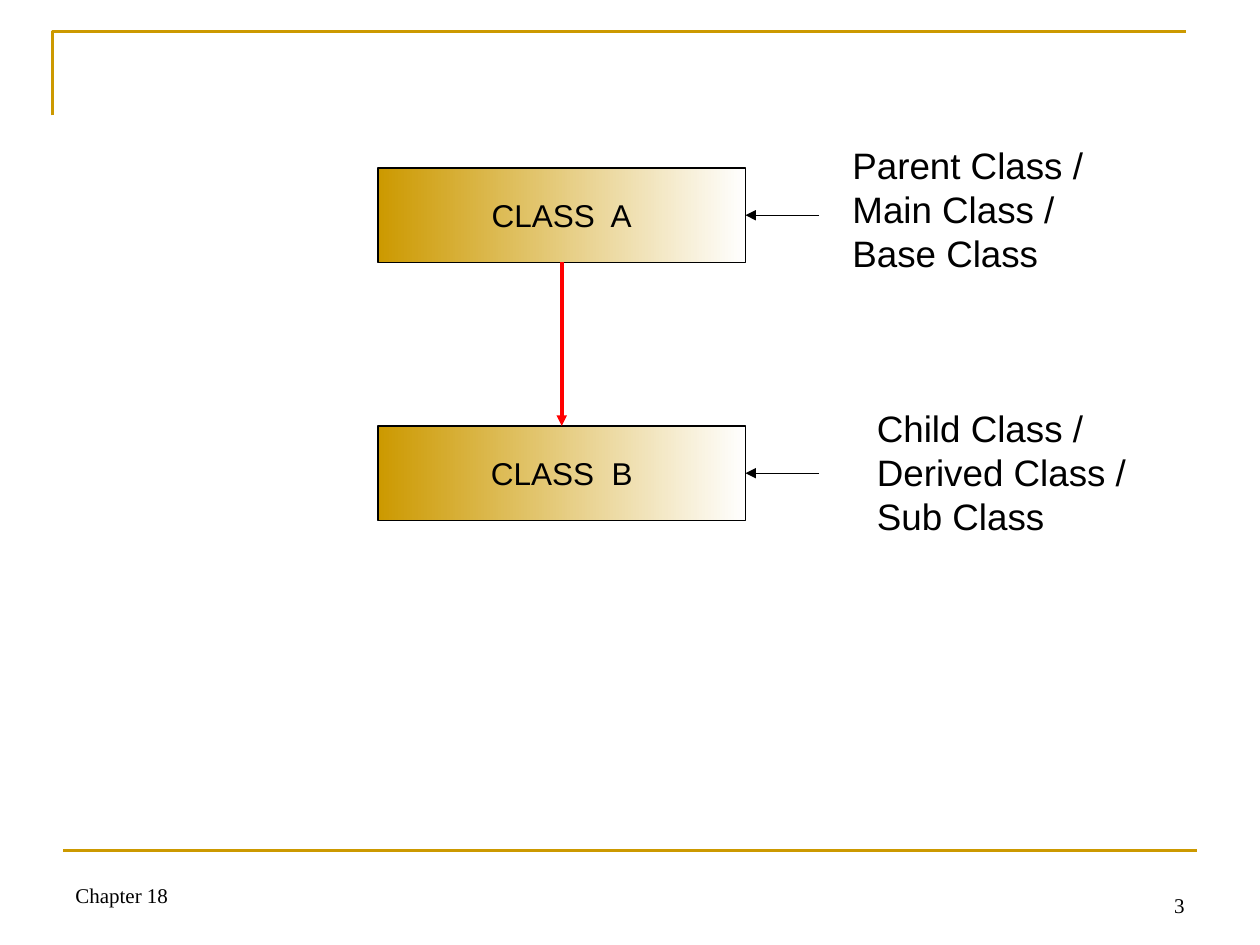
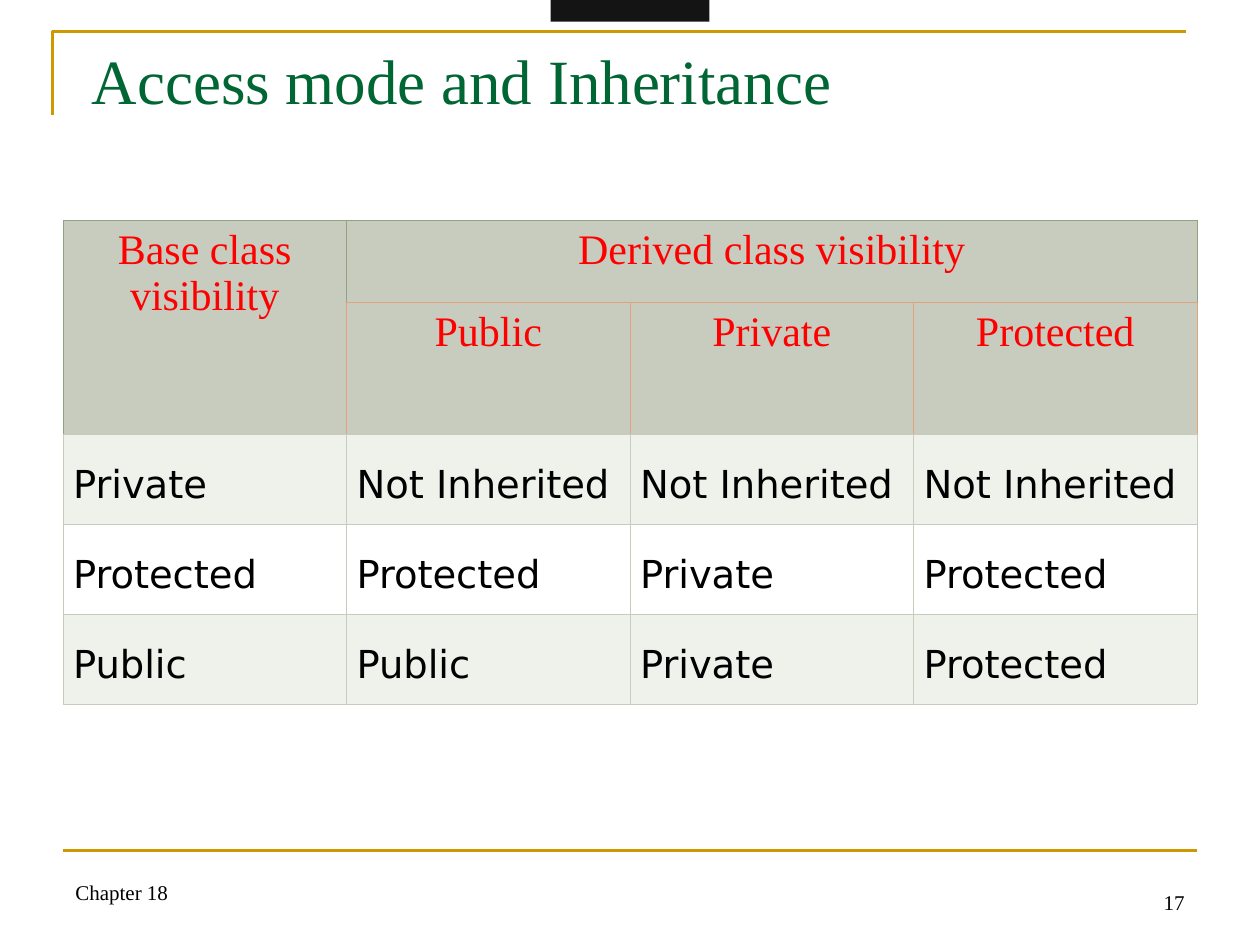
from pptx import Presentation
from pptx.dml.color import RGBColor
from pptx.enum.shapes import MSO_CONNECTOR, MSO_SHAPE
from pptx.enum.text import MSO_ANCHOR as Anchor, PP_ALIGN as Align
from pptx.oxml.ns import qn
from pptx.util import Pt
from lxml.etree import SubElement

PAGE_WIDTH, PAGE_HEIGHT = 720, 540
SERIF, SANS, TABLE_FONT = "Times New Roman", "Arial", "DejaVu Sans"
GOLD, GREEN, RED, BLACK, WHITE = "CC9900", "006633", "FF0000", "000000", "FFFFFF"
DARK_TAB = "141414"
HEADER_FILL, BAND_FILL = "C7CCBE", "EFF1EB"
EDGE_GREEN, EDGE_ORANGE, EDGE_GREY = "90A480", "E0A280", "C7CCBE"


def colour(hex_string):
    return RGBColor.from_string(hex_string)


# Shared drawing helpers

def write_text(frame, text, size=12, font=SERIF, color=BLACK, align=Align.LEFT,
               line_spacing=None):
    """Fill a text frame with one paragraph per line of text."""
    for index, line in enumerate(text.split("\n")):
        paragraph = frame.add_paragraph() if index else frame.paragraphs[0]
        paragraph.alignment = align
        if line_spacing:
            paragraph.line_spacing = line_spacing
        run = paragraph.add_run()
        run.text = line
        run.font.size = Pt(size)
        run.font.name = font
        run.font.color.rgb = colour(color)


def add_text(slide, text, left, top, width, height, anchor=Anchor.TOP,
             inset_top=3.6, **text_format):
    box = slide.shapes.add_textbox(Pt(left), Pt(top), Pt(width), Pt(height))
    frame = box.text_frame
    frame.word_wrap = True
    frame.vertical_anchor = anchor
    frame.margin_top = Pt(inset_top)
    write_text(frame, text, **text_format)


def add_rectangle(slide, left, top, width, height):
    shape = slide.shapes.add_shape(
        MSO_SHAPE.RECTANGLE, Pt(left), Pt(top), Pt(width), Pt(height))
    shape.shadow.inherit = False
    return shape


def add_line(slide, x1, y1, x2, y2, color, width, arrow=False):
    connector = slide.shapes.add_connector(
        MSO_CONNECTOR.STRAIGHT, Pt(x1), Pt(y1), Pt(x2), Pt(y2))
    connector.line.color.rgb = colour(color)
    connector.line.width = Pt(width)
    if arrow:
        SubElement(connector.line._get_or_add_ln(), qn("a:tailEnd"), type="triangle")
    SubElement(connector._element.spPr, qn("a:effectLst"))


# Frame, footer and title of every slide

def add_corner(slide, left, top, width, height):
    builder = slide.shapes.build_freeform(Pt(left), Pt(top + height))
    builder.add_line_segments(
        [(Pt(left), Pt(top)), (Pt(left + width), Pt(top))], close=False)
    corner = builder.convert_to_shape()
    corner.shadow.inherit = False
    corner.fill.background()
    corner.line.color.rgb = colour(GOLD)
    corner.line.width = Pt(1.5)


def add_footer(slide, left, top, width, number):
    height, number_width = 36, 168
    add_text(slide, "Chapter 18", left, top, 228, height, anchor=Anchor.BOTTOM)
    add_text(slide, str(number), left + width - number_width, top + 5.8,
             number_width, height, anchor=Anchor.BOTTOM, align=Align.RIGHT)


def new_slide(presentation, number, footer_top):
    slide = presentation.slides.add_slide(presentation.slide_layouts[6])
    add_corner(slide, 30, 18, 648, 48)
    add_line(slide, 36, 486, 684, 486, GOLD, 1.5)
    add_footer(slide, 36, footer_top, 648, number)
    return slide


def add_title(slide, text, left, top, width, height):
    add_text(slide, text, left, top, width, height, inset_top=8,
             size=36, color=GREEN)


# Inheritance diagram

def add_class_box(slide, name, left, top, width, height):
    shape = add_rectangle(slide, left, top, width, height)
    shape.fill.gradient()
    shape.fill.gradient_angle = 0
    for stop, position, color in zip(shape.fill.gradient_stops, (0, 1), (GOLD, WHITE)):
        stop.position = position
        stop.color.rgb = colour(color)
    shape.line.color.rgb = colour(BLACK)
    shape.line.width = Pt(0.75)
    frame = shape.text_frame
    frame.word_wrap = False
    frame.vertical_anchor = Anchor.MIDDLE
    write_text(frame, name, size=18, font=SANS, align=Align.CENTER)


def add_class_diagram(slide, left, top, width, height):
    box_width, box_height, arrow_length = 210, 54, 42
    note_width, note_height = 168, 83
    child_top = top + height - box_height
    box_right = left + box_width
    right = left + width
    classes = [
        ("CLASS  A", top, "Parent Class / Main Class /\nBase Class", right - 14, -18),
        ("CLASS  B", child_top, "Child Class / Derived Class /\nSub Class", right, -15.2),
    ]
    for name, box_top, note, note_right, note_offset in classes:
        add_class_box(slide, name, left, box_top, box_width, box_height)
        middle = box_top + box_height / 2
        add_line(slide, box_right + arrow_length, middle, box_right, middle,
                 BLACK, 0.75, arrow=True)
        add_text(slide, note, note_right - note_width, box_top + note_offset,
                 note_width, note_height, size=21, font=SANS)
    center = left + box_width / 2
    add_line(slide, center, top + box_height, center, child_top, RED, 2, arrow=True)


# Access mode table

def set_borders(cell, edges):
    """Draw the left, right, top and bottom edge in the given colours."""
    properties = cell._tc.get_or_add_tcPr()
    for index, (side, color) in enumerate(zip("LRTB", edges)):
        line = SubElement(properties, qn(f"a:ln{side}"), w=str(Pt(0.34)))
        fill = SubElement(line, qn("a:solidFill"))
        SubElement(fill, qn("a:srgbClr"), val=color)
        properties.insert(index, line)


def format_cell(cell, text, fill, edges, inset, **text_format):
    cell.fill.solid()
    cell.fill.fore_color.rgb = colour(fill)
    cell.margin_left = cell.margin_right = Pt(inset)
    set_borders(cell, edges)
    if text:
        write_text(cell.text_frame, text, **text_format)


def add_access_table(slide, left, top, width):
    header_rows = [
        ["Base class visibility", "Derived class visibility", "", ""],
        ["", "Public", "Private", "Protected"],
    ]
    body_rows = [
        ["Private", "Not Inherited", "Not Inherited", "Not Inherited"],
        ["Protected", "Protected", "Private", "Protected"],
        ["Public", "Public", "Private", "Protected"],
    ]
    row_heights = [46.8, 75.4] + [51.4] * len(body_rows)
    columns = len(header_rows[0])
    table = slide.shapes.add_table(
        len(row_heights), columns, Pt(left), Pt(top), Pt(width),
        Pt(sum(row_heights))).table
    table.first_row = table.horz_banding = False
    for column in table.columns:
        column.width = Pt(width / columns)
    for row, height in zip(table.rows, row_heights):
        row.height = Pt(height)
    table.cell(0, 0).merge(table.cell(1, 0))
    table.cell(0, 1).merge(table.cell(0, columns - 1))

    base_edges = [EDGE_GREEN, EDGE_ORANGE, EDGE_GREEN, EDGE_GREY]
    derived_edges = [EDGE_GREEN] * 3 + [EDGE_ORANGE]
    mode_edges = [EDGE_ORANGE] * 3 + [EDGE_GREY]
    for row, texts in enumerate(header_rows):
        for column, text in enumerate(texts):
            edges = (base_edges if column == 0
                     else derived_edges if row == 0 else mode_edges)
            format_cell(table.cell(row, column), text, HEADER_FILL, edges, 8.64,
                        size=24, color=RED, align=Align.CENTER)
    for row, texts in enumerate(body_rows):
        fill = WHITE if row % 2 else BAND_FILL
        for column, text in enumerate(texts):
            format_cell(table.cell(row + len(header_rows), column), text, fill,
                        [EDGE_GREY] * 4, 5.76, size=22, font=TABLE_FONT,
                        line_spacing=1.5)


def add_top_tab(slide, left, top, width, height):
    tab = add_rectangle(slide, left, top, width, height)
    tab.fill.solid()
    tab.fill.fore_color.rgb = colour(DARK_TAB)
    tab.line.fill.background()


# Slides

def build_diagram_slide(presentation):
    slide = new_slide(presentation, 3, 486)
    add_class_diagram(slide, 216, 96, 446, 201.4)


def build_table_slide(presentation):
    slide = new_slide(presentation, 17, 484.6)
    add_title(slide, "Access mode and Inheritance", 45.4, 16, 648, 44)
    add_top_tab(slide, 314.6, -13, 90.8, 25.4)
    add_access_table(slide, 36, 126, 648)


def main():
    presentation = Presentation()
    presentation.slide_width = Pt(PAGE_WIDTH)
    presentation.slide_height = Pt(PAGE_HEIGHT)
    build_diagram_slide(presentation)
    build_table_slide(presentation)
    presentation.save("out.pptx")


if __name__ == "__main__":
    main()
